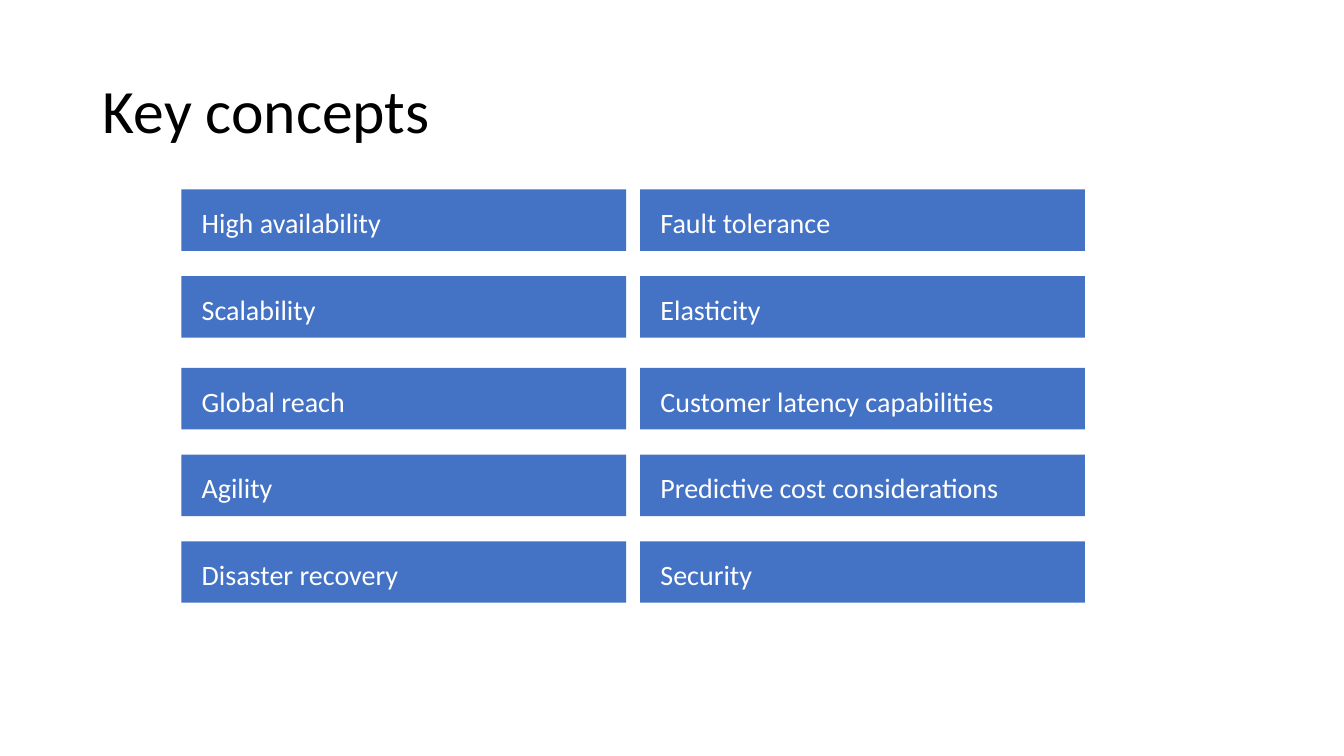
from dataclasses import dataclass

from pptx import Presentation
from pptx.dml.color import RGBColor
from pptx.enum.shapes import MSO_SHAPE as Shape
from pptx.enum.text import MSO_ANCHOR as Anchor, PP_ALIGN as Align
from pptx.util import Inches, Pt

# Content
TITLE = "Key concepts"
CONCEPTS = [
    ("High availability", "Fault tolerance"),
    ("Scalability", "Elasticity"),
    ("Global reach", "Customer latency capabilities"),
    ("Agility", "Predictive cost considerations"),
    ("Disaster recovery", "Security"),
]


@dataclass(frozen=True)
class Theme:
    font: str = "Calibri"
    title_size: int = 44
    concept_size: int = 20
    title_color: str = "000000"
    concept_color: str = "FFFFFF"
    bar_color: str = "4472C4"


THEME = Theme()

# Layout in inches
SLIDE_WIDTH, SLIDE_HEIGHT = 13.33, 7.5
TITLE_BOX = (0.92, 0.4, 11.5, 1.45)
GRID_LEFT, GRID_TOP = 1.8, 1.88
BAR_WIDTH, BAR_HEIGHT = 4.41, 0.61
COLUMN_GAP, ROW_GAP = 0.14, 0.25
GROUP_ROWS, GROUP_GAP = 2, 0.05  # a slightly wider gap follows the first rows


def write_text(shape, text, size, color, frame_format):
    frame = shape.text_frame
    for name, value in frame_format.items():
        setattr(frame, name, value)
    paragraph = frame.paragraphs[0]
    paragraph.alignment = Align.LEFT
    run = paragraph.add_run()
    run.text = text
    font_format = {"name": THEME.font, "size": Pt(size), "bold": False}
    for name, value in font_format.items():
        setattr(run.font, name, value)
    run.font.color.rgb = RGBColor.from_string(color)
    return paragraph


def add_title(slide):
    title = slide.shapes.title
    for name, value in zip(("left", "top", "width", "height"), TITLE_BOX):
        setattr(title, name, Inches(value))
    paragraph = write_text(title, TITLE, THEME.title_size, THEME.title_color,
                           {"vertical_anchor": Anchor.MIDDLE, "word_wrap": True})
    paragraph.line_spacing = 0.9


def add_concept(slide, row, column, text):
    left = GRID_LEFT + column * (BAR_WIDTH + COLUMN_GAP)
    top = GRID_TOP + row * (BAR_HEIGHT + ROW_GAP)
    if row >= GROUP_ROWS:
        top += GROUP_GAP
    bar = slide.shapes.add_shape(Shape.RECTANGLE, Inches(left), Inches(top),
                                 Inches(BAR_WIDTH), Inches(BAR_HEIGHT))
    bar.shadow.inherit = False
    bar.fill.solid()
    bar.fill.fore_color.rgb = RGBColor.from_string(THEME.bar_color)
    bar.line.fill.background()
    write_text(bar, text, THEME.concept_size, THEME.concept_color, {
        "vertical_anchor": Anchor.TOP, "word_wrap": True,
        "margin_left": Inches(0.2), "margin_right": Inches(0.2),
        "margin_top": Inches(0.16), "margin_bottom": Inches(0.16),
    })


def main():
    presentation = Presentation()
    presentation.slide_width = Inches(SLIDE_WIDTH)
    presentation.slide_height = Inches(SLIDE_HEIGHT)
    title_only = presentation.slide_layouts[5]
    slide = presentation.slides.add_slide(title_only)
    add_title(slide)
    for row, pair in enumerate(CONCEPTS):
        for column, text in enumerate(pair):
            add_concept(slide, row, column, text)
    presentation.save("out.pptx")


if __name__ == "__main__":
    main()
